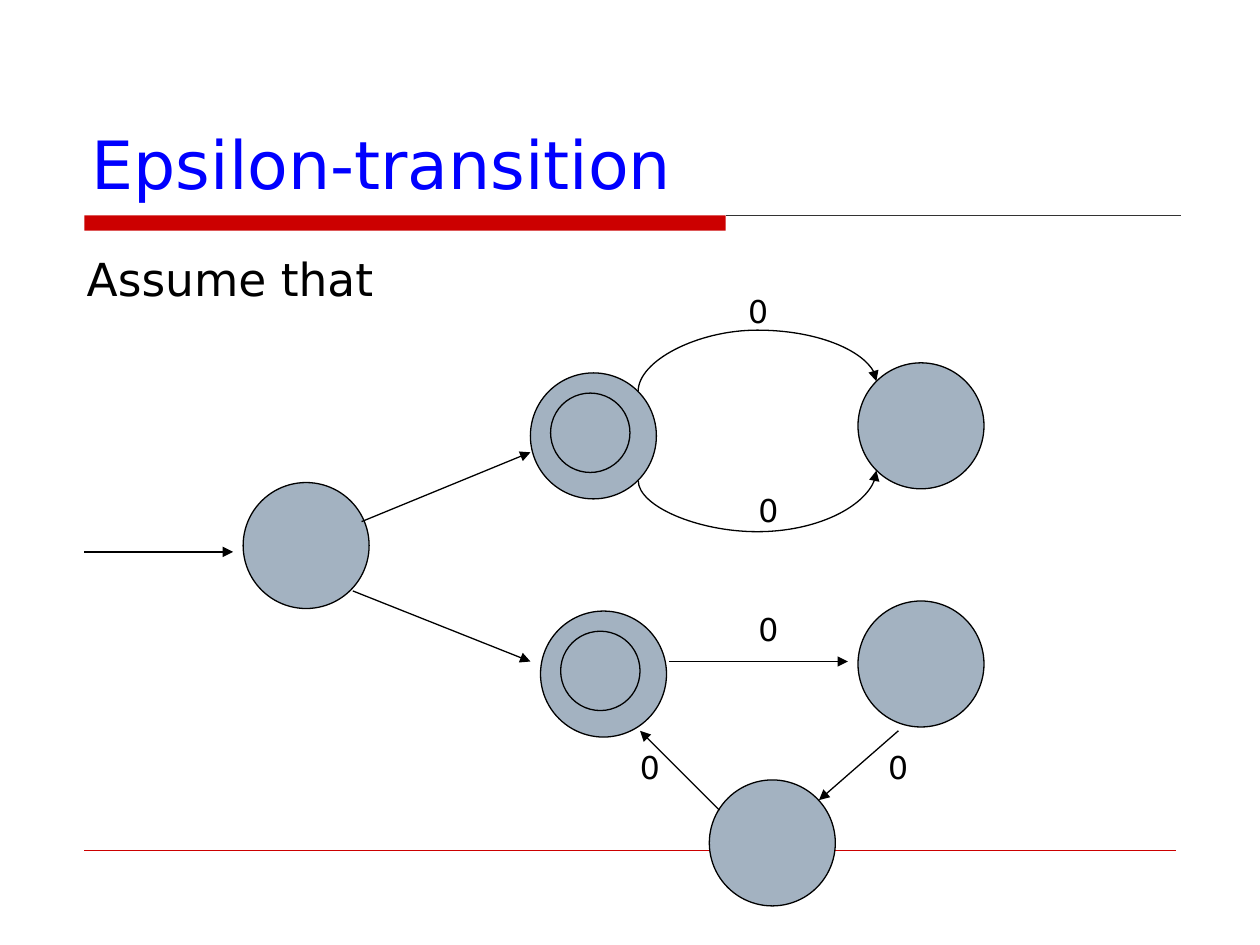
import dataclasses

import lxml.etree
import pptx
import pptx.dml.color
import pptx.enum.shapes
import pptx.enum.text
import pptx.oxml
import pptx.oxml.ns
import pptx.util

Inches = pptx.util.Inches
Shape = pptx.enum.shapes.MSO_SHAPE
Link = pptx.enum.shapes.MSO_CONNECTOR
Anchor = pptx.enum.text.MSO_ANCHOR
Fit = pptx.enum.text.MSO_AUTO_SIZE
qn = pptx.oxml.ns.qn


@dataclasses.dataclass(frozen=True)
class Theme:
    font: str = "DejaVu Sans"
    blue: str = "0000FF"
    red: str = "CC0000"
    black: str = "000000"
    dark: str = "333333"
    state: str = "A3B2C1"
    title: float = 38
    body: float = 26
    label: float = 18
    line: float = 0.75
    thin: float = 0.25


def paint(code):
    return pptx.dml.color.RGBColor.from_string(code)


class Sketch:
    def __init__(self, slide, theme):
        self.slide = slide
        self.theme = theme

    def text(self, words, box, size, color, anchor=Anchor.TOP, wrap=True, hang=0):
        frame = self.slide.shapes.add_textbox(*map(Inches, box)).text_frame
        frame.text = words
        frame.word_wrap = wrap
        frame.auto_size = Fit.NONE if wrap else Fit.SHAPE_TO_FIT_TEXT
        frame.vertical_anchor = anchor
        para = frame.paragraphs[0]
        if hang:
            props = para._p.get_or_add_pPr()
            props.set("marL", str(Inches(hang)))
            props.set("indent", str(-Inches(hang)))
        font = para.runs[0].font
        font.name = self.theme.font
        font.size = pptx.util.Pt(size)
        font.color.rgb = paint(color)

    def label(self, words, left, top):
        self.text(words, (left, top, 0.36, 0.4), self.theme.label,
                  self.theme.black, wrap=False)

    def block(self, kind, box, fill, edge=None):
        shape = self.slide.shapes.add_shape(kind, *map(Inches, box))
        shape.shadow.inherit = False
        shape.fill.solid()
        shape.fill.fore_color.rgb = paint(fill)
        if edge:
            shape.line.color.rgb = paint(edge)
            shape.line.width = pptx.util.Pt(self.theme.line)
        else:
            shape.line.fill.background()

    def state(self, left, top, size=1):
        self.block(Shape.OVAL, (left, top, size, size),
                   self.theme.state, self.theme.black)

    def line(self, start, end, color, width, kind=Link.STRAIGHT):
        link = self.slide.shapes.add_connector(kind, *map(Inches, start + end))
        link.line.color.rgb = paint(color)
        link.line.width = pptx.util.Pt(width)
        lxml.etree.SubElement(link._element.spPr, qn("a:effectLst"))
        return link

    def arrow(self, start, end, kind=Link.STRAIGHT):
        link = self.line(start, end, self.theme.black, self.theme.line, kind)
        tip = lxml.etree.SubElement(link.line._get_or_add_ln(), qn("a:tailEnd"))
        tip.set("type", "triangle")
        return link

    def curve(self, left, top, bend, turn, flip=False):
        wide, high = 0.08, 1.89
        link = self.arrow((left, top), (left + wide, top + high), Link.CURVE)
        props = link._element.spPr
        frame = props.find(qn("a:xfrm"))
        frame.set("rot", str(turn * 60000))
        if flip:
            frame.set("flipH", "1")
            frame.set("flipV", "1")
        guides = props.find(qn("a:prstGeom")).get_or_add_avLst()
        guide = lxml.etree.SubElement(guides, qn("a:gd"))
        guide.set("name", "adj1")
        guide.set("fmla", f"val {round(bend * 100000)}")


def main():
    deck = pptx.Presentation()
    deck.slide_width, deck.slide_height = Inches(10), Inches(7.5)
    theme = Theme()
    sketch = Sketch(deck.slides.add_slide(deck.slide_layouts[6]), theme)

    sketch.block(Shape.RECTANGLE, (0.67, 1.71, 5.09, 0.12), theme.red)
    sketch.line((5.76, 1.71), (9.37, 1.71), theme.dark, theme.line)
    sketch.line((0.67, 6.75), (9.33, 6.75), theme.red, theme.thin)
    sketch.text("Epsilon-transition", (0.63, 0.33, 8.75, 1.33),
                theme.title, theme.blue, Anchor.BOTTOM)
    sketch.text("Assume that", (0.59, 1.94, 9.06, 4.8),
                theme.body, theme.black, hang=0.51)

    for spot in ((1.93, 3.83), (4.21, 2.96), (6.81, 2.88),
                 (4.29, 4.85), (6.81, 4.77), (5.63, 6.19)):
        sketch.state(*spot)

    for start, end in (
        ((0.67, 4.38), (1.85, 4.38)),
        ((2.87, 4.14), (4.21, 3.59)),
        ((2.8, 4.69), (4.21, 5.25)),
        ((5.31, 5.25), (6.73, 5.25)),
        ((7.13, 5.8), (6.5, 6.35)),
        ((5.71, 6.43), (5.08, 5.8)),
    ):
        sketch.arrow(start, end)
    sketch.curve(5.97, 2.12, 6.07, 270)
    sketch.curve(5.97, 2.83, -5.07, 90, flip=True)

    for spot in ((5.84, 2.27), (5.92, 3.85), (5.92, 4.79),
                 (4.98, 5.89), (6.95, 5.89)):
        sketch.label("0", *spot)

    for spot in ((4.37, 3.12), (4.45, 5.01)):
        sketch.state(*spot, size=0.63)

    deck.save("out.pptx")


if __name__ == "__main__":
    main()
